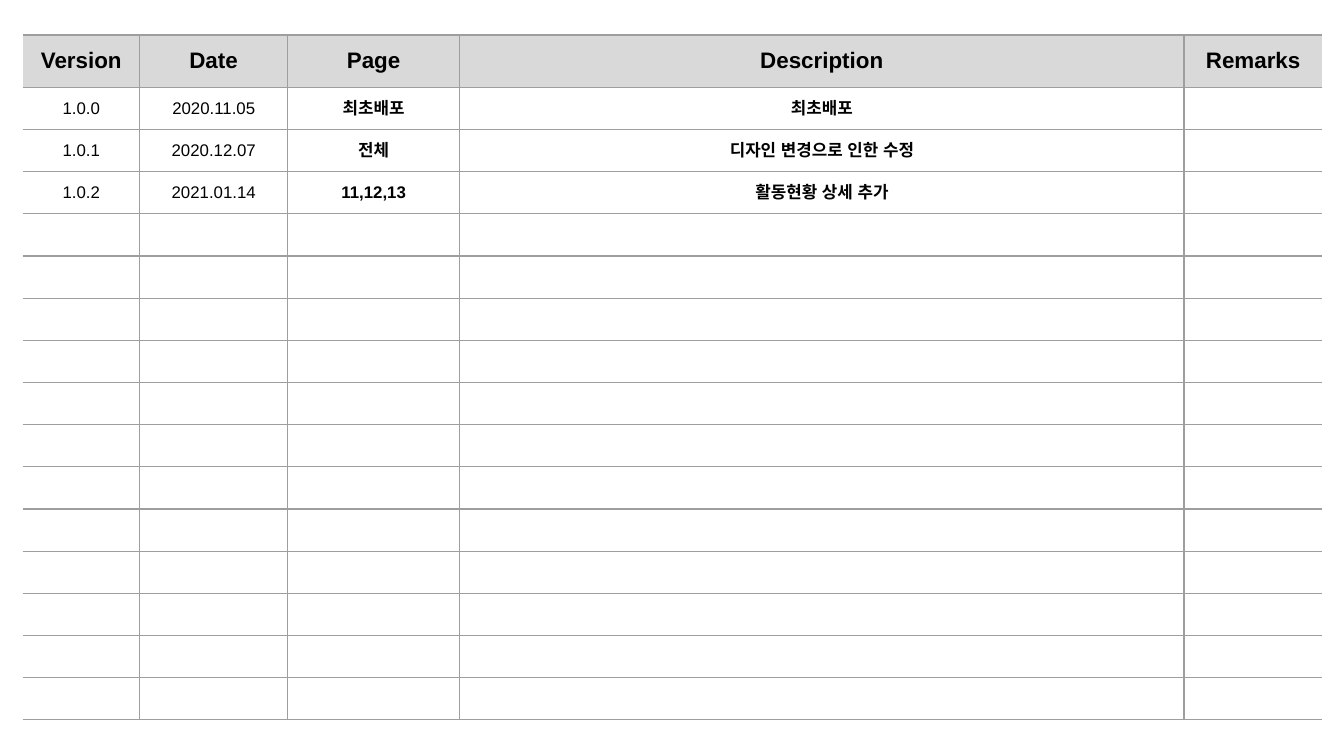
"""Build a version history slide holding one ruled table."""
from typing import NamedTuple

from lxml import etree
from pptx import Presentation
from pptx.dml.color import RGBColor
from pptx.enum.text import MSO_ANCHOR, PP_ALIGN
from pptx.oxml.ns import qn
from pptx.table import _Cell
from pptx.util import Inches, Pt

CENTER = PP_ALIGN.CENTER
MIDDLE = MSO_ANCHOR.MIDDLE
COLORS = {"text": "000000", "header": "D9D9D9", "rule": "9E9E9E"}
FONT = "Arial"
RULE_WIDTH = 0.75
BLANK_LAYOUT = 6
SLIDE_WIDTH = 10
SLIDE_HEIGHT = SLIDE_WIDTH * 9 / 16
TABLE_LEFT, TABLE_TOP = 0.17, 0.26
HEADER_HEIGHT, BODY_HEIGHT = 0.39, 4.71
BODY_ROWS = 15
HEADER_SIZE, BODY_SIZE = 12, 9


class Column(NamedTuple):
    title: str
    width: float
    bold: bool


class Revision(NamedTuple):
    version: str = ""
    date: str = ""
    page: str = ""
    description: str = ""
    remarks: str = ""


COLUMNS = [
    Column("Version", 0.87, False),
    Column("Date", 1.1, False),
    Column("Page", 1.28, True),
    Column("Description", 5.39, True),
    Column("Remarks", 1.03, False),
]
REVISIONS = [
    Revision("1.0.0", "2020.11.05", "최초배포", "최초배포"),
    Revision("1.0.1", "2020.12.07", "전체", "디자인 변경으로 인한 수정"),
    Revision("1.0.2", "2021.01.14", "11,12,13", "활동현황 상세 추가"),
]


def rule_cell(cell: _Cell, open_sides: set[str]) -> None:
    """Rule the four sides of a cell, leaving the open sides bare."""
    properties = cell._tc.get_or_add_tcPr()
    for side in ("L", "R", "T", "B"):
        line = etree.SubElement(properties, qn(f"a:ln{side}"), w=str(Pt(RULE_WIDTH)))
        if side in open_sides:
            etree.SubElement(line, qn("a:noFill"))
        else:
            fill = etree.SubElement(line, qn("a:solidFill"))
            etree.SubElement(fill, qn("a:srgbClr"), val=COLORS["rule"])


def write_cell(cell: _Cell, text: str, size: int, bold: bool) -> None:
    """Write centred text without margins, keeping empty cells at the same size."""
    cell.margin_left = cell.margin_right = cell.margin_top = cell.margin_bottom = 0
    cell.vertical_anchor = MIDDLE
    paragraph = cell.text_frame.paragraphs[0]
    paragraph.text = text
    paragraph.alignment = CENTER
    for run in paragraph.runs:
        run.font.name = FONT
        run.font.size = Pt(size)
        run.font.bold = bold
        run.font.color.rgb = RGBColor.from_string(COLORS["text"])
        etree.SubElement(run._r.get_or_add_rPr(), qn("a:ea"), typeface=FONT)
    if not text:
        etree.SubElement(paragraph._p, qn("a:endParaRPr"), sz=str(size * 100))


def main() -> None:
    """Create the presentation and save it."""
    presentation = Presentation()
    presentation.slide_width = Inches(SLIDE_WIDTH)
    presentation.slide_height = Inches(SLIDE_HEIGHT)
    slide = presentation.slides.add_slide(presentation.slide_layouts[BLANK_LAYOUT])

    titles = Revision(*(column.title for column in COLUMNS))
    blanks = [Revision()] * (BODY_ROWS - len(REVISIONS))
    records = [titles, *REVISIONS, *blanks]
    table = slide.shapes.add_table(
        len(records), len(COLUMNS), Inches(TABLE_LEFT), Inches(TABLE_TOP),
        Inches(sum(column.width for column in COLUMNS)),
        Inches(HEADER_HEIGHT + BODY_HEIGHT),
    ).table
    table.first_row = table.horz_banding = False
    for index, column in enumerate(COLUMNS):
        table.columns[index].width = Inches(column.width)

    for row, record in enumerate(records):
        is_header = row == 0
        height = HEADER_HEIGHT if is_header else BODY_HEIGHT / BODY_ROWS
        table.rows[row].height = Inches(height)
        size = HEADER_SIZE if is_header else BODY_SIZE
        for index, (column, text) in enumerate(zip(COLUMNS, record)):
            cell = table.cell(row, index)
            rule_cell(cell, {0: {"L"}, len(COLUMNS) - 1: {"R"}}.get(index, set()))
            write_cell(cell, text, size, is_header or column.bold)
            if is_header:
                cell.fill.solid()
                cell.fill.fore_color.rgb = RGBColor.from_string(COLORS["header"])
            else:
                cell.fill.background()

    presentation.save("out.pptx")


if __name__ == "__main__":
    main()
